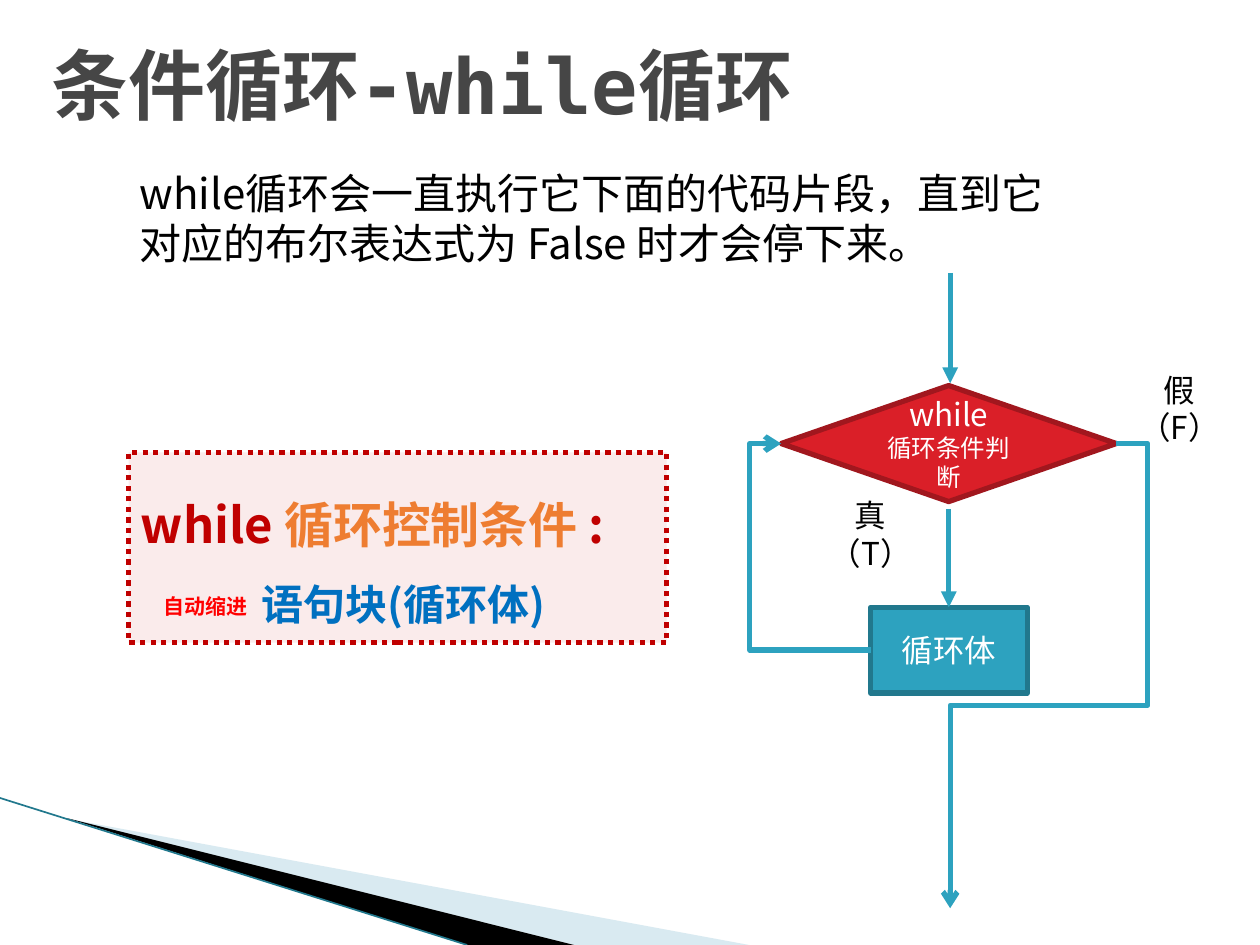
from lxml.etree import SubElement
from pptx import Presentation
from pptx.dml.color import RGBColor
from pptx.enum.dml import MSO_LINE
from pptx.enum.shapes import MSO_CONNECTOR, MSO_SHAPE
from pptx.enum.text import MSO_ANCHOR, PP_ALIGN
from pptx.oxml.ns import qn
from pptx.util import Pt

WHITE = RGBColor(0xFF, 0xFF, 0xFF)
BLACK = RGBColor(0, 0, 0)
GREY = RGBColor(0x46, 0x46, 0x46)
PALE = RGBColor(0xA0, 0xCB, 0xDC)
TEAL = RGBColor(0x2D, 0xA2, 0xBF)
DEEP = RGBColor(0x21, 0x78, 0x8D)
RED = RGBColor(0xDA, 0x1F, 0x28)
WINE = RGBColor(0xA1, 0x17, 0x1E)
CRIMSON = RGBColor(0xC0, 0, 0)
BRIGHT = RGBColor(0xFF, 0, 0)
ORANGE = RGBColor(0xEE, 0x7D, 0x31)
BLUE = RGBColor(0, 0x70, 0xC0)
SANS, MONO = "Noto Sans CJK SC", "DejaVu Sans Mono"


def write(par, text, size, color, bold=False, font=SANS):
    run = par.add_run()
    run.text = text
    run.font.size = Pt(size)
    run.font.bold = bold
    run.font.name = font
    run.font.color.rgb = color
    SubElement(run.font._element, qn("a:ea")).set("typeface", SANS)


def fade(shape, percent):
    """Make the solid fill of a shape partly transparent."""
    color = shape.fill._xPr.find(qn("a:solidFill"))[0]
    SubElement(color, qn("a:alpha")).set("val", str(percent * 1000))


deck = Presentation()
deck.slide_width, deck.slide_height = Pt(720), Pt(540)
slide = deck.slides.add_slide(deck.slide_layouts[6])
shapes = slide.shapes

# Corner wedges
wedges = [
    (PALE, 40, [(39, 468), (428, 540), (328, 540)]),
    (BLACK, 100, [(38, 467.5), (328, 540), (267, 540)]),
]
for color, alpha, points in wedges:
    pen = shapes.build_freeform(*[Pt(v) for v in points[0]])
    pen.add_line_segments([(Pt(x), Pt(y)) for x, y in points[1:]])
    wedge = pen.convert_to_shape()
    wedge.shadow.inherit = False
    wedge.fill.solid()
    wedge.fill.fore_color.rgb = color
    fade(wedge, alpha)
    wedge.line.fill.background()

# Filled shapes: kind, box, fill, line, lines of text
blocks = [
    (MSO_SHAPE.RECTANGLE, (73.5, 258.5, 307.5, 108.7), CRIMSON, CRIMSON, []),
    (MSO_SHAPE.RECTANGLE, (497.5, 347, 89.5, 49), TEAL, DEEP, [("循环体", 18)]),
    (MSO_SHAPE.FLOWCHART_DECISION, (446.4, 220.3, 191.5, 66.3), RED, WINE,
     [("while", 18), ("循环条件判断", 14)]),
]
for kind, box, color, edge, lines in blocks:
    block = shapes.add_shape(kind, *[Pt(v) for v in box])
    block.shadow.inherit = False
    block.fill.solid()
    block.fill.fore_color.rgb = color
    block.line.color.rgb = edge
    block.line.width = Pt(3)
    frame = block.text_frame
    frame.word_wrap = True
    frame.vertical_anchor = MSO_ANCHOR.MIDDLE
    for i, (text, size) in enumerate(lines):
        par = frame.add_paragraph() if i else frame.paragraphs[0]
        par.alignment = PP_ALIGN.CENTER
        write(par, text, size, WHITE)
    if not lines:
        fade(block, 8)
        block.line.dash_style = MSO_LINE.ROUND_DOT

# Lines: kind, start, end, colour, width, arrowhead, bends
links = [
    ("line", (0, 456), (267, 540), DEEP, 0.95, None, []),
    ("line", (542.2, 291), (542.2, 347), TEAL, 3, "triangle", []),
    ("line", (543, 156), (543, 219), TEAL, 3, "triangle", []),
    ("bentConnector3", (497.5, 371.5), (446.4, 253.5), TEAL, 3, "arrow",
     [135000]),
    ("bentConnector4", (637.9, 253.5), (543, 519), TEAL, 3, "arrow",
     [-19000, 56300]),
]
for kind, start, end, color, width, head, bends in links:
    style = MSO_CONNECTOR.ELBOW if bends else MSO_CONNECTOR.STRAIGHT
    link = shapes.add_connector(style, *[Pt(v) for v in start + end])
    link.line.color.rgb = color
    link.line.width = Pt(width)
    props = link._element.spPr
    if head:
        SubElement(link.line._get_or_add_ln(), qn("a:tailEnd")).set("type", head)
    SubElement(props, qn("a:effectLst"))
    if bends:
        geom = props.find(qn("a:prstGeom"))
        geom.set("prst", kind)
        guides = geom.get_or_add_avLst()
        for i, bend in enumerate(bends, 1):
            guide = SubElement(guides, qn("a:gd"))
            guide.set("name", f"adj{i}")
            guide.set("fmla", f"val {bend}")

# Text boxes: box, centred, paragraphs of runs
code = [
    [("while ", 28, CRIMSON, True), ("循环控制条件 ", 28, ORANGE, True),
     (":", 28, CRIMSON, True)],
    [("语句块(循环体)", 24, BLUE, True)],
]
intro = "while循环会一直执行它下面的代码片段，直到它对应的布尔表达式为 False 时才会停下来。"
notes = [
    ((22.3, 18, 500.4, 60.5), False,
     [[("条件循环-while循环", 44, GREY, True, MONO)]]),
    ((72.7, 92.2, 552.2, 65.5), False, [[(intro, 24, BLACK)]]),
    ((73.4, 262, 313.2, 120.2), False, code),
    ((84.2, 336.2, 66.2, 20.2), True,
     [[("自动缩进", 12, BRIGHT, True, "Arial")]]),
    ((638, 220.3, 72, 26), True, [[("假（F）", 18, BLACK)]]),
    ((461.5, 292.3, 72, 25.2), True, [[("真（T）", 18, BLACK)]]),
]
for box, center, lines in notes:
    frame = shapes.add_textbox(*[Pt(v) for v in box]).text_frame
    frame.word_wrap = True
    if center:
        frame.vertical_anchor = MSO_ANCHOR.MIDDLE
    for i, runs in enumerate(lines):
        par = frame.add_paragraph() if i else frame.paragraphs[0]
        if center:
            par.alignment = PP_ALIGN.CENTER
        if lines is code:
            par.line_spacing = 1.5
            par.space_before = Pt(0 if i else 10)
        if i:
            par._p.get_or_add_pPr().set("marL", str(Pt(69)))
        for run in runs:
            write(par, *run)

deck.save("out.pptx")
